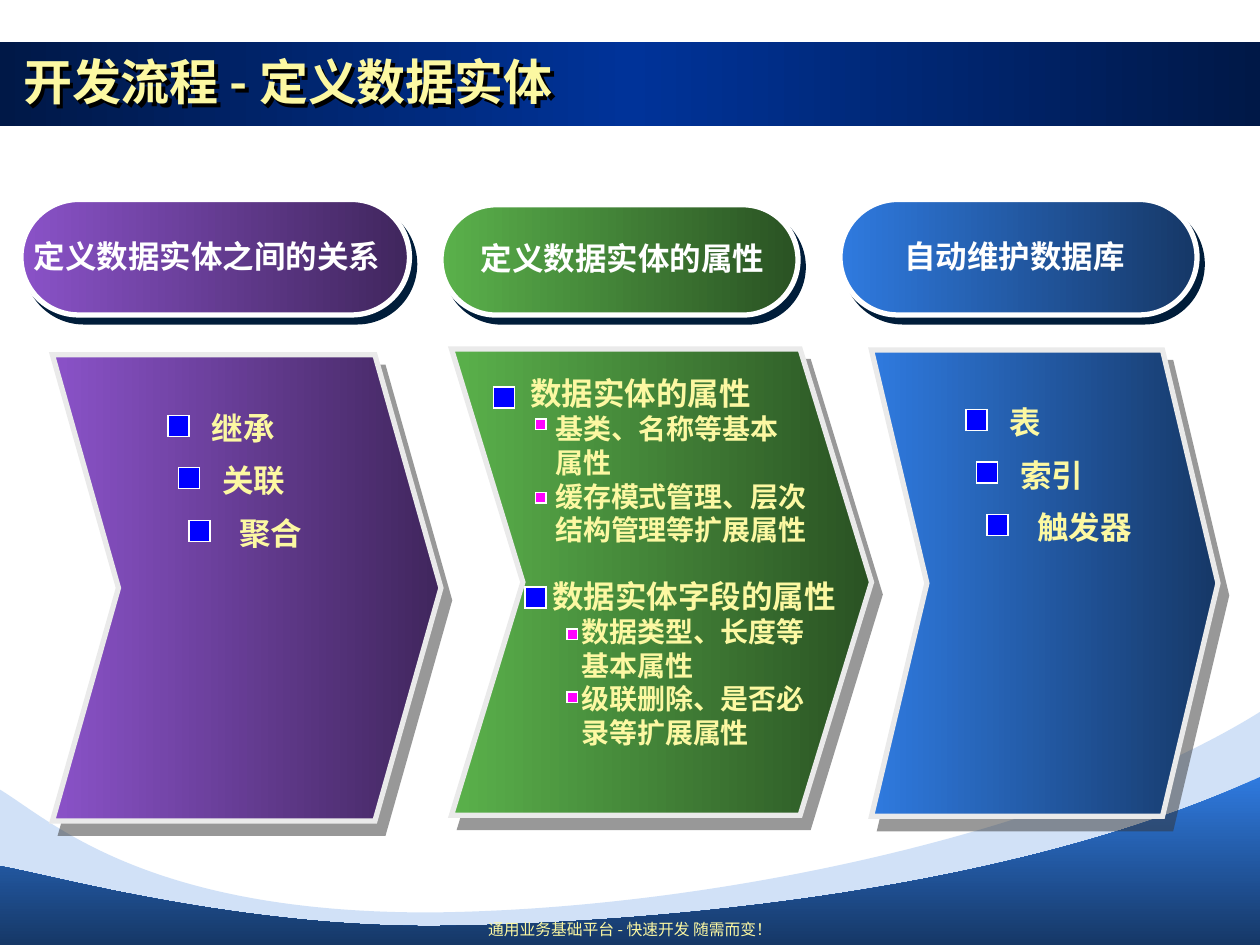
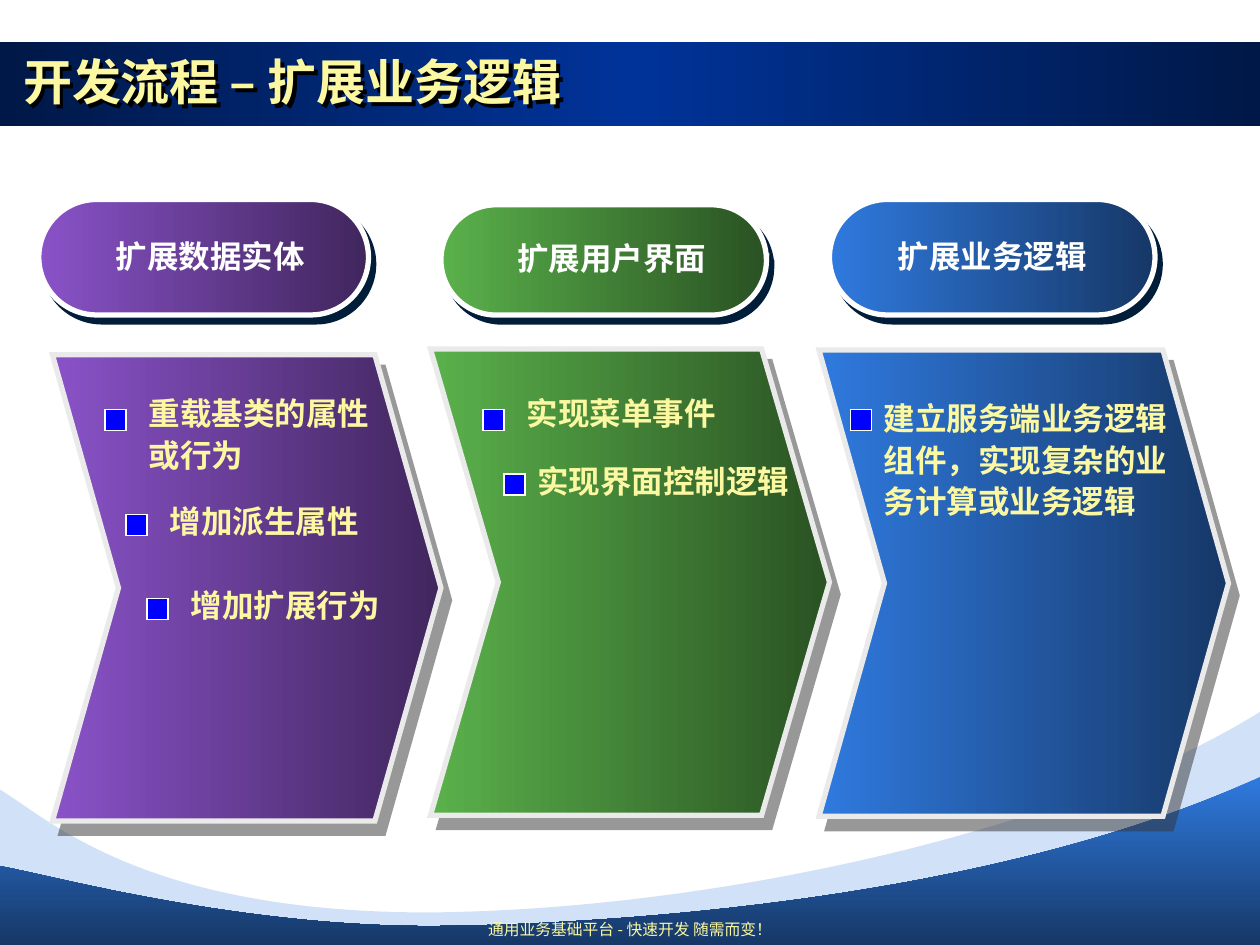
from copy import deepcopy
from dataclasses import dataclass
from typing import NamedTuple

from lxml import etree
from pptx import Presentation
from pptx import util as u
from pptx.dml.color import RGBColor
from pptx.enum import shapes, text
from pptx.oxml.ns import qn

COLS, ROWS = 120, 90
CELL = u.Inches(10) // COLS


@dataclass(frozen=True)
class Theme:
    latin: str = "Arial"
    asian: str = "Noto Sans CJK SC"
    cream: str = "FCF8A2"
    white: str = "FFFFFF"
    edge: str = "EAEAEA"
    navy: str = "001847"
    royal: str = "003399"
    sky: str = "2F7ADF"
    deep: str = "163867"
    mark: str = "0000FF"
    pink: str = "FF00FF"
    dim: str = "333333"
    ink: str = "001D3A"
    black: str = "000000"
    head: float = 28
    body: float = 18
    sub: float = 16
    foot: float = 9


T = Theme()


class Hue(NamedTuple):
    light: str
    dark: str
    pill: float
    body: float
    notch: float


VIOLET = Hue("8A52C8", "40265D", 19, 33.8, 0.17)
GREEN = Hue("5AB14B", "2A5223", 19.5, 33.25, 0.17)
BLUE = Hue(T.sky, T.deep, 19, 33.35, 0.16)


class Panel(NamedTuple):
    hue: Hue
    pill: tuple[float, float]
    label: str
    span: tuple[float, float]
    body: tuple[float, float]


class Item(NamedTuple):
    x: float
    y: float
    words: str
    dx: float = 3
    dy: float = -2.4
    wide: float = 24
    gap: float = 1.1


class Line(NamedTuple):
    words: str
    size: float
    inset: float
    space: float = 0


def grid(*cells: float) -> list[int]:
    return [round(c * CELL) for c in cells]


def apply(thing, **vals) -> None:
    for key, val in vals.items():
        setattr(thing, key, val)


def rgb(code: str) -> RGBColor:
    return RGBColor.from_string(code)


def blend(shape, codes: list[str], angle: float = 0) -> None:
    fill = shape.fill
    fill.gradient()
    fill.gradient_angle = angle
    stops = shape.element.spPr.find(".//" + qn("a:gsLst"))
    for _ in codes[2:]:
        stops.append(deepcopy(stops[0]))
    for i, (stop, code) in enumerate(zip(fill.gradient_stops, codes)):
        stop.position = i / (len(codes) - 1)
        stop.color.rgb = rgb(code)


def shade(shape, code: str, dist: float, angle: float, alpha: int = 100) -> None:
    shape.shadow.inherit = False
    parent = shape.element.spPr.find(qn("a:effectLst"))
    drop = etree.SubElement(parent, qn("a:outerShdw"), blurRad="0",
                            dist=str(u.Pt(dist)), dir=str(int(angle * 60000)),
                            algn="ctr", rotWithShape="0")
    tint = etree.SubElement(drop, qn("a:srgbClr"), val=code)
    etree.SubElement(tint, qn("a:alpha"), val=str(alpha * 1000))


def trim(shape, code: str = "", width: float = 0) -> None:
    shape.shadow.inherit = False
    if code:
        shape.line.color.rgb = rgb(code)
        shape.line.width = u.Pt(width)
        edge = shape.element.spPr.find(qn("a:ln"))
        etree.SubElement(edge, qn("a:miter"), lim="800000")
    else:
        shape.line.fill.background()


def block(slide, kind, *box: float):
    return slide.shapes.add_shape(kind, *grid(*box))


def outline(slide, points):
    first, *rest = [tuple(grid(*p)) for p in points]
    pen = slide.shapes.build_freeform(*first)
    pen.add_line_segments(rest, close=True)
    return pen.convert_to_shape()


def wave(slide, knots):
    shape = outline(slide, [*knots, (COLS, ROWS), (0, ROWS)])
    lines = shape.element.spPr.findall(".//" + qn("a:lnTo"))
    for i in (0, 3):
        curve = etree.Element(qn("a:cubicBezTo"))
        lines[i].addprevious(curve)
        for line in lines[i:i + 3]:
            curve.append(line[0])
            line.getparent().remove(line)
    return shape


def write(para, words: str, size: float, code: str, bold: bool = True,
          face: str = T.latin) -> None:
    run = para.add_run()
    run.text = words
    apply(run.font, size=u.Pt(size), bold=bold, name=face)
    run.font.color.rgb = rgb(code)
    latin = run.font._element.find(qn("a:latin"))
    latin.addnext(etree.Element(qn("a:ea"), typeface=T.asian))


def frame(slide, *box: float):
    area = slide.shapes.add_textbox(*grid(*box)).text_frame
    area.word_wrap = True
    return area


BACK = ((0, 75.2), (4.8, 78.1), (13.9, 87), (41.2, 86.9),
        (68.4, 86.6), (101.9, 79.1), (COLS, 67.8))
FRONT = ((0, 82.5), (4.3, 83.2), (22.3, 88.3), (41.5, 88.2),
         (60.7, 88), (95.6, 85.3), (COLS, 74))


def backdrop(slide, layout) -> None:
    band = block(slide, shapes.MSO_SHAPE.RECTANGLE, 0, 4, COLS, 8)
    blend(band, [T.navy, T.royal, T.navy])
    back = wave(slide, BACK)
    back.fill.solid()
    back.fill.fore_color.rgb = rgb(T.sky)
    tint = back.element.spPr.find(qn("a:solidFill"))[0]
    etree.SubElement(tint, qn("a:alpha"), val="22000")
    front = wave(slide, FRONT)
    blend(front, [T.sky, T.deep], 270)
    for part in (band, back, front):
        trim(part)
        layout.shapes.element.append(part.element)


def heading(slide, runs: list) -> None:
    title = slide.shapes.title
    apply(title, **dict(zip(("left", "top", "width", "height"),
                            grid(1, 4, 108, 7.4))))
    shade(title, T.black, 3, 45)
    area = title.text_frame
    apply(area, word_wrap=True, auto_size=text.MSO_AUTO_SIZE.NONE,
          vertical_anchor=text.MSO_ANCHOR.MIDDLE)
    para = area.paragraphs[0]
    para.alignment = text.PP_ALIGN.LEFT
    for words, face in runs:
        write(para, words, T.head, T.cream, face=face)


def footer(slide) -> None:
    para = frame(slide, 41, 87, 38, 3.2).paragraphs[0]
    para.alignment = text.PP_ALIGN.CENTER
    for words, face in (("通用业务基础平台 ", T.latin), ("- ", T.asian),
                        ("快速开发 随需而变！", T.latin)):
        write(para, words, T.foot, T.cream, False, face)


def panel(slide, spec: Panel) -> None:
    hue = spec.hue
    x, wide = spec.body
    top, tall, notch = hue.body, 44.4, wide * hue.notch
    mid, end, right = top + tall / 2, top + tall, x + wide
    arrow = outline(slide, [(x, top), (right - notch, top), (right, mid),
                            (right - notch, end), (x, end), (x + notch, mid)])
    x, wide = spec.pill
    pill = block(slide, shapes.MSO_SHAPE.ROUNDED_RECTANGLE,
                 x, hue.pill, wide, 30 - hue.pill)
    pill.adjustments[0] = 0.5
    for shape, edge in ((arrow, T.edge), (pill, T.white)):
        blend(shape, [hue.light, hue.dark])
        trim(shape, edge, 3)
    shade(arrow, T.dim, 8.6, 55, 50)
    shade(pill, T.ink, 5, 53)
    x, wide = spec.span
    para = frame(slide, x, hue.pill * 0.3 + 16.3, wide, 4.8).paragraphs[0]
    para.alignment = text.PP_ALIGN.CENTER
    write(para, spec.label, T.body, T.white)


def square(slide, x: float, y: float, size: float, code: str) -> None:
    mark = block(slide, shapes.MSO_SHAPE.RECTANGLE, x, y, size, size)
    mark.fill.solid()
    mark.fill.fore_color.rgb = rgb(code)
    trim(mark, T.white, 0.75)


def bullet(slide, item: Item) -> None:
    square(slide, item.x, item.y, 2, T.mark)
    area = frame(slide, item.x + item.dx, item.y + item.dy, item.wide, 5.2)
    para = area.paragraphs[0]
    para.line_spacing = item.gap
    write(para, item.words, T.body, T.cream)


def stairs(x: float, y: float, words: list[str]) -> list[Item]:
    return [Item(x + i, y + 5 * i, word, 3.6 if i == 2 else 3, -3, 15, 1.5)
            for i, word in enumerate(words)]


def detail(slide, lines: list[Line]) -> None:
    area = frame(slide, 43.3, 35.05, 39, 37)
    for i, line in enumerate(lines):
        para = area.add_paragraph() if i else area.paragraphs[0]
        para._p.get_or_add_pPr().set("marL", str(grid(line.inset)[0]))
        if line.space:
            para.space_before = u.Pt(line.space)
        write(para, line.words, line.size, T.cream)
    for x, y in ((47, 36.85), (50, 55.9)):
        square(slide, x, y, 2, T.mark)
    for x, y in ((51, 39.9), (51, 46.9), (54, 59.9), (54, 65.9)):
        square(slide, x, y, 1, T.pink)


ENTITY = [
    Panel(VIOLET, (2, 37), "定义数据实体之间的关系", (1.2, 37), (5, 37)),
    Panel(GREEN, (42, 34), "定义数据实体的属性", (44.6, 29.4), (43, 40)),
    Panel(BLUE, (80, 34), "自动维护数据库", (84.9, 23.4), (83, 33)),
]
LOGIC = [
    Panel(VIOLET, (3.7, 31.4), "扩展数据实体", (3, 34), (5, 37)),
    Panel(GREEN, (42, 31), "扩展用户界面", (43.5, 29.5), (41, 38)),
    Panel(BLUE, (79, 31), "扩展业务逻辑", (81, 27), (78, 39)),
]
DETAIL = [
    Line("数据实体的属性", T.body, 6),
    *[Line(words, T.sub, 8.4) for words in
      ("基类、名称等基本", "属性", "缓存模式管理、层次", "结构管理等扩展属性")],
    Line("数据实体字段的属性", T.body, 8.1, 17.5),
    *[Line(words, T.sub, 10.9) for words in
      ("数据类型、长度等", "基本属性", "级联删除、是否必", "录等扩展属性")],
]
DECK = [
    ([("开发流程 ", T.latin), ("- ", T.asian), ("定义数据实体", T.latin)], ENTITY,
     stairs(16, 39.55, ["继承", "关联", "聚合"])
     + stairs(92, 39, ["表", "索引", "触发器"]), DETAIL),
    ([("开发流程", T.latin), (" – 扩展业务逻辑", T.asian)], LOGIC, [
        Item(10, 39, "重载基类的属性或行为"),
        Item(12, 49, "增加派生属性", dy=-2.1),
        Item(14, 57, "增加扩展行为", dy=-2.1),
        Item(46, 39, "实现菜单事件"),
        Item(48, 45.15, "实现界面控制逻辑", 2, -2.1, 27),
        Item(81, 39, "建立服务端业务逻辑组件，实现复杂的业务计算或业务逻辑", 2, -1.95, 31),
    ], []),
]


def main() -> None:
    deck = Presentation()
    apply(deck, slide_width=CELL * COLS, slide_height=CELL * ROWS)
    layout = deck.slide_layouts[5]
    for i, (runs, panels, items, lines) in enumerate(DECK):
        slide = deck.slides.add_slide(layout)
        if i == 0:
            backdrop(slide, layout)
        heading(slide, runs)
        footer(slide)
        for spec in panels:
            panel(slide, spec)
        for item in items:
            bullet(slide, item)
        if lines:
            detail(slide, lines)
    deck.save("out.pptx")


if __name__ == "__main__":
    main()
